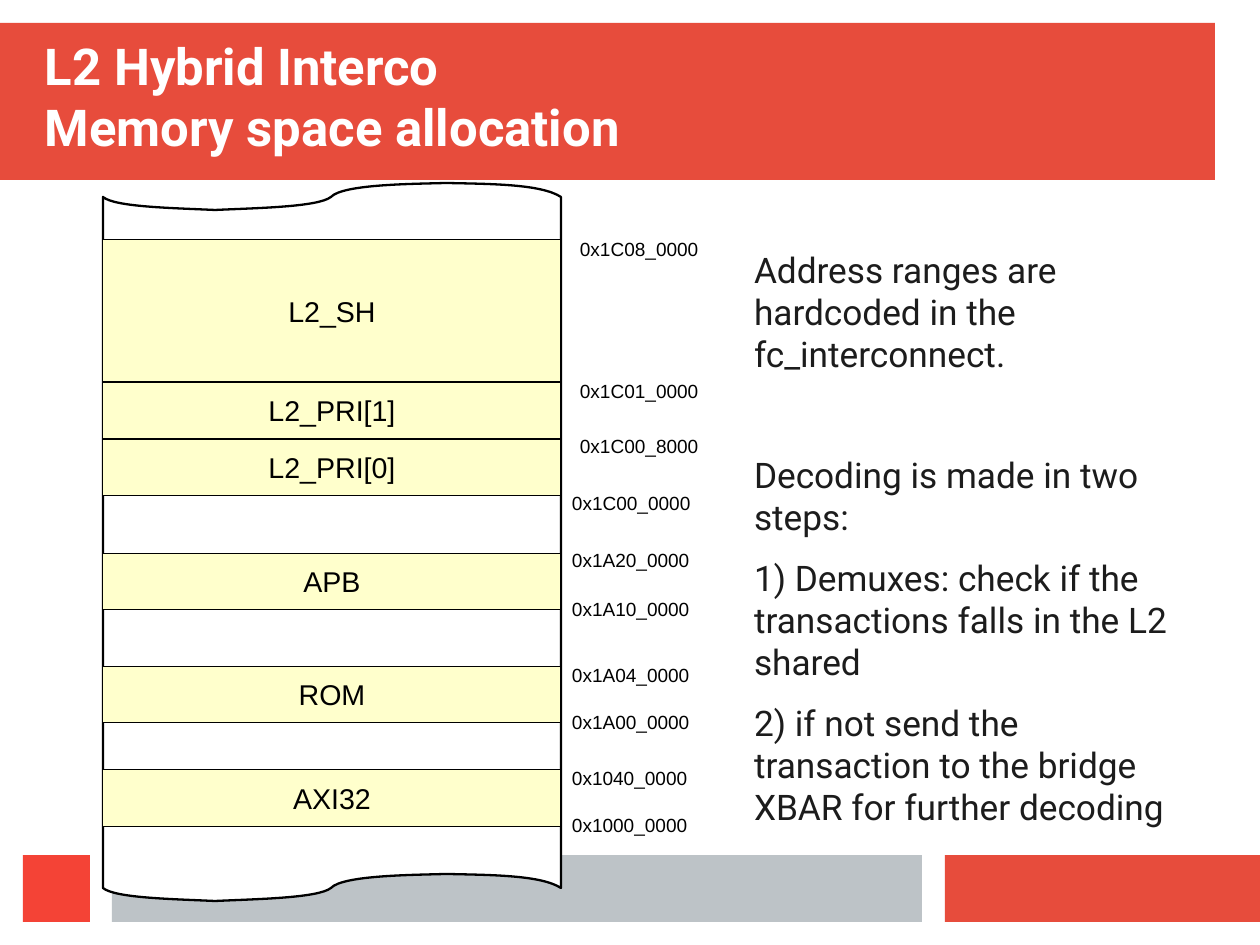
from lxml import etree
from pptx import Presentation
from pptx.dml.color import RGBColor
from pptx.enum.shapes import MSO_SHAPE
from pptx.enum.text import MSO_ANCHOR, PP_ALIGN
from pptx.oxml.ns import qn
from pptx.util import Pt

PX = 8000
RECTANGLE = MSO_SHAPE.RECTANGLE
TOP, MIDDLE, BOTTOM = MSO_ANCHOR.TOP, MSO_ANCHOR.MIDDLE, MSO_ANCHOR.BOTTOM
LEFT, CENTER = PP_ALIGN.LEFT, PP_ALIGN.CENTER

RED = RGBColor(0xE7, 0x4C, 0x3C)
BRIGHT_RED = RGBColor(0xF4, 0x43, 0x36)
GRAY = RGBColor(0xBD, 0xC3, 0xC7)
CREAM = RGBColor(0xFF, 0xFF, 0xCC)
WHITE = RGBColor(0xFF, 0xFF, 0xFF)
BLACK = RGBColor(0, 0, 0)
INK = RGBColor(0x1C, 0x1C, 0x1C)

HAIRLINE = 0.01
MAP_LEFT, MAP_WIDTH = 103, 458
MAP_HEIGHT = 691
WAVE = [
    (103, 197), (115, 207), (171, 208), (215, 210),
    (259, 208), (318, 207), (331, 197),
    (343, 184), (415, 184), (446, 183),
    (491, 184), (541, 184), (561, 197),
]

BANDS = [
    (0, 23, 1215, 157, RED),
    (945, 855, 315, 67, RED),
    (112, 855, 810, 67, GRAY),
    (23, 855, 67, 67, BRIGHT_RED),
]
REGIONS = [
    ("L2_SH", 240, 142),
    ("L2_PRI[1]", 382, 57),
    ("L2_PRI[0]", 439, 57),
    ("APB", 553, 57),
    ("ROM", 666, 57),
    ("AXI32", 770, 57),
]
ADDRESSES = [
    ("0x1C08_0000", 569, 232),
    ("0x1C01_0000", 569, 374),
    ("0x1C00_8000", 569, 429),
    ("0x1C00_0000", 561, 486),
    ("0x1A20_0000", 561, 543),
    ("0x1A10_0000", 561, 592),
    ("0x1A04_0000", 561, 658),
    ("0x1A00_0000", 561, 705),
    ("0x1040_0000", 561, 761),
    ("0x1000_0000", 561, 808),
]
NOTES = [
    ("Address ranges are hardcoded in the fc_interconnect.", 49.5),
    ("Decoding is made in two steps:", 11.4),
    ("1) Demuxes: check if the transactions falls in the L2 shared", 11.4),
    ("2) if not send the transaction to the bridge XBAR for further decoding", 11.4),
]


def style_shape(shape, fill, line_width=None):
    """Give a shape a flat fill and an optional black outline."""
    shape.shadow.inherit = False
    shape.fill.solid()
    shape.fill.fore_color.rgb = fill
    if line_width is None:
        shape.line.fill.background()
    else:
        shape.line.color.rgb = BLACK
        shape.line.width = Pt(line_width)


def add_rectangle(slide, left, top, width, height, fill, line_width=None):
    """Add a filled rectangle."""
    shape = slide.shapes.add_shape(RECTANGLE, left * PX, top * PX, width * PX, height * PX)
    style_shape(shape, fill, line_width)
    return shape


def write_text(shape, lines, font_name, size, color, bold=False,
               anchor=TOP, align=LEFT, inset=(0, 0)):
    """Fill a shape with (text, space after) paragraphs in one font."""
    frame = shape.text_frame
    frame.word_wrap = True
    frame.vertical_anchor = anchor
    frame.margin_left = frame.margin_right = inset[0] * PX
    frame.margin_top = frame.margin_bottom = inset[1] * PX
    for index, (text, space_after) in enumerate(lines):
        paragraph = frame.add_paragraph() if index else frame.paragraphs[0]
        paragraph.text = text
        paragraph.alignment = align
        paragraph.space_after = Pt(space_after)
        paragraph.font.name = font_name
        paragraph.font.size = Pt(size)
        paragraph.font.bold = bold
        paragraph.font.color.rgb = color


def add_text(slide, left, top, width, height, lines, *font, **layout):
    """Add a text box."""
    box = slide.shapes.add_textbox(left * PX, top * PX, width * PX, height * PX)
    write_text(box, lines, *font, **layout)


def bend_segments(segments):
    """Turn each three straight segments into one cubic curve."""
    for first in range(0, len(segments), 3):
        trio = segments[first:first + 3]
        curve = etree.Element(qn("a:cubicBezTo"))
        trio[0].addprevious(curve)
        for segment in trio:
            curve.append(segment[0])
            segment.getparent().remove(segment)


def add_memory_strip(slide):
    """Add the torn strip with the same wave along its top and bottom."""
    bottom_edge = [(x, y + MAP_HEIGHT) for x, y in reversed(WAVE)]
    builder = slide.shapes.build_freeform(*WAVE[0], scale=PX)
    builder.add_line_segments(WAVE[1:] + bottom_edge, close=True)
    strip = builder.convert_to_shape()
    segments = list(strip.element.iter(qn("a:lnTo")))
    edge_size = len(WAVE) - 1
    bend_segments(segments[:edge_size])
    bend_segments(segments[edge_size + 1:2 * edge_size + 1])
    style_shape(strip, WHITE, 1.45)


def add_region(slide, name, top, height):
    """Add one named memory region."""
    region = add_rectangle(slide, MAP_LEFT, top, MAP_WIDTH, height, CREAM, HAIRLINE)
    write_text(region, [(name, 0)], "Arial", 18, BLACK,
               anchor=MIDDLE, align=CENTER, inset=(11, 6))


def main():
    """Build the memory map slide."""
    presentation = Presentation()
    presentation.slide_width = 1260 * PX
    presentation.slide_height = 945 * PX
    slide = presentation.slides.add_slide(presentation.slide_layouts[6])
    for band in BANDS:
        add_rectangle(slide, *band)
    add_memory_strip(slide)
    for region in REGIONS:
        add_region(slide, *region)
    for address, left, top in ADDRESSES:
        add_text(slide, left, top, 162, 55, [(address, 0)], "Arial", 12, BLACK, inset=(11, 6))
    add_text(slide, 45, 45, 1170, 112, [("L2 Hybrid Interco\vMemory space allocation", 0)],
             "Roboto", 32, WHITE, bold=True, anchor=BOTTOM)
    add_text(slide, 754, 248, 438, 585, NOTES, "Roboto", 22.2, INK)
    presentation.save("out.pptx")


if __name__ == "__main__":
    main()
